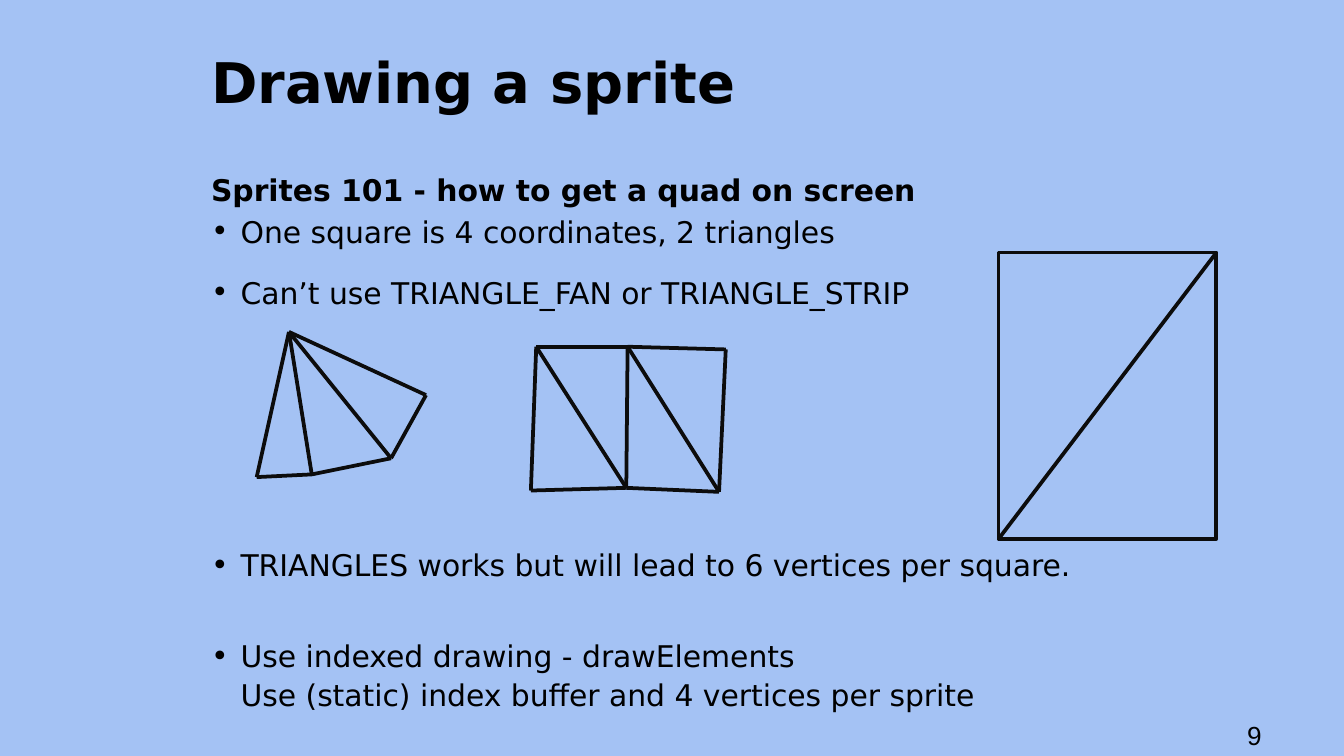
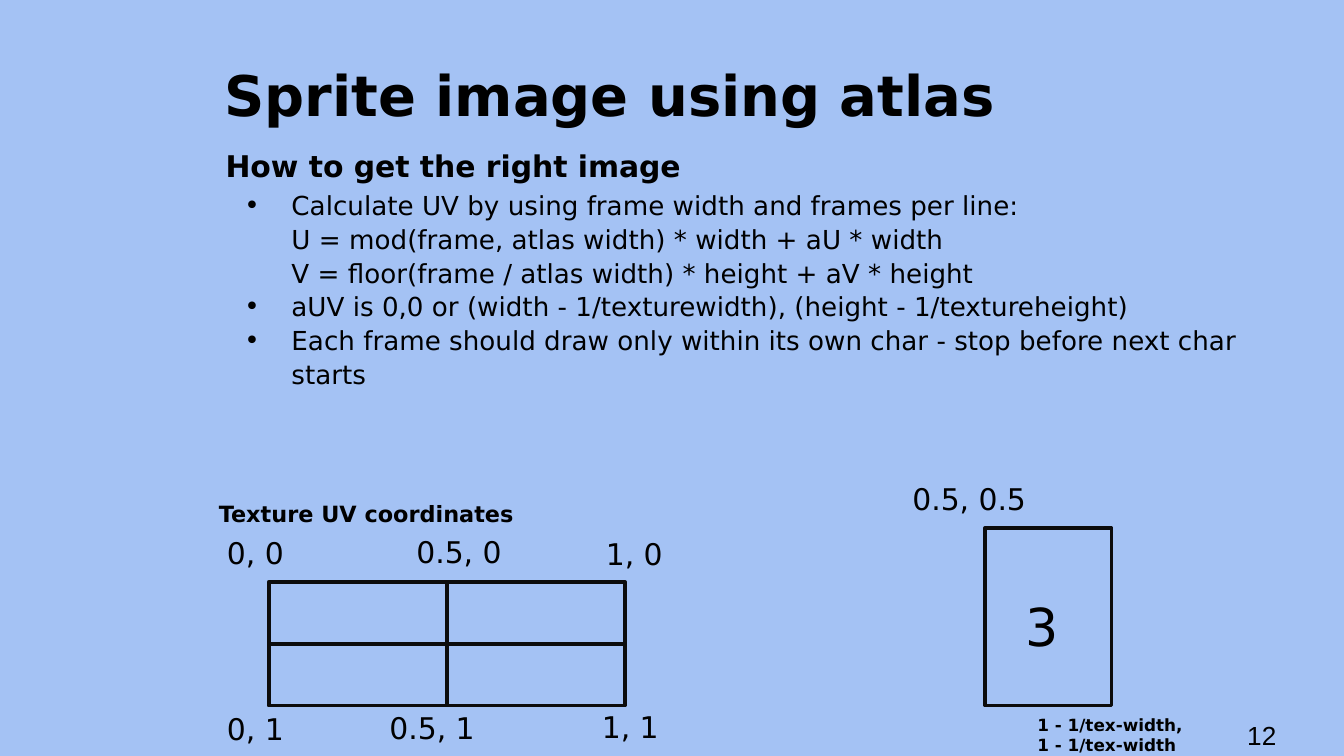
"""Build two slides on drawing sprites: quads from triangles and atlas coordinates."""
from lxml import etree
from pptx import Presentation
from pptx.dml.color import RGBColor
from pptx.enum.shapes import MSO_CONNECTOR, MSO_SHAPE
from pptx.enum.text import MSO_ANCHOR, MSO_AUTO_SIZE, PP_ALIGN
from pptx.oxml.ns import qn
from pptx.util import Inches, Pt

STRAIGHT = MSO_CONNECTOR.STRAIGHT
RECTANGLE, PROCESS = MSO_SHAPE.RECTANGLE, MSO_SHAPE.FLOWCHART_PROCESS
TOP, MIDDLE = MSO_ANCHOR.TOP, MSO_ANCHOR.MIDDLE
LEFT_ALIGN, NO_FIT = PP_ALIGN.LEFT, MSO_AUTO_SIZE.NONE

SKY = RGBColor(0xA4, 0xC2, 0xF4)
BLACK = RGBColor(0, 0, 0)
INK = RGBColor(0x0C, 0x0C, 0x0C)
FONT, NUMBER_FONT = "DejaVu Sans", "Arial"

WIDTH = 10
HEIGHT = WIDTH * 9 / 16
MARGIN, COLUMN = 1.57, 7.92
TITLE_BOX = (MARGIN, 0.45, COLUMN, 0.59)
NUMBER_BOX = (9.28, 5.32, 0.49, 0.3)
FLUSH, PADDED, LABEL_INSET = (0, 0), (0.1, 0.1), (0.1, 0.05)

QUAD_HEADING = "Sprites 101 - how to get a quad on screen"
QUAD_POINTS = [
    "One square is 4 coordinates, 2 triangles",
    "Can’t use TRIANGLE_FAN or TRIANGLE_STRIP",
]
INDEX_POINTS = [
    "TRIANGLES works but will lead to 6 vertices per square.",
    "Use indexed drawing - drawElements\nUse (static) index buffer and 4 vertices per sprite",
]
QUAD = (7.43, 1.88, 1.62, 2.13)
FAN_APEX = (2.15, 2.47)
FAN_RIM = [(1.91, 3.55), (2.32, 3.53), (2.91, 3.41), (3.17, 2.94)]
STRIP = [(3.95, 3.65), (3.99, 2.58), (4.66, 3.63), (4.67, 2.58), (5.35, 3.66), (5.4, 2.6)]

ATLAS_HEADING = "How to get the right image"
ATLAS_POINTS = [
    "Calculate UV by using frame width and frames per line: \n"
    "U = mod(frame, atlas width) * width + aU * width\n"
    "V = floor(frame / atlas width) * height + aV * height",
    "aUV is 0,0 or (width - 1/texturewidth), (height - 1/textureheight)",
    "Each frame should draw only within its own char - stop before next char\nstarts",
]
ATLAS_CAPTION = "Texture UV coordinates"
ATLAS = (2, 4.33, 2.65, 0.92)
ATLAS_LABELS = [
    ("0, 0", 1.59, 3.93, 0.81), ("0.5, 0", 3, 3.92, 1), ("1, 0", 4.41, 3.94, 1.07),
    ("0, 1", 1.59, 5.24, 0.81), ("0.5, 1", 2.8, 5.23, 1), ("1, 1", 4.38, 5.22, 1.07),
]
FRAME = (7.33, 3.93, 0.94, 1.32)
FRAME_LABELS = [
    ("3", (7.53, 4.37, 0.54, 0.57), 28, False),
    ("0.5, 0.5", (6.69, 3.53, 1.29, 0.37), 16, False),
    ("1 - 1/tex-width, \n1 - 1/tex-width", (7.62, 5.27, 1.43, 0.49), 9, True),
]


def inches(lengths):
    return [Inches(length) for length in lengths]


def set_bullet(paragraph, indent, hanging):
    properties = paragraph._p.get_or_add_pPr()
    properties.set("marL", str(Inches(indent)))
    properties.set("indent", str(-Inches(hanging)))
    colour = etree.SubElement(properties, qn("a:buClr"))
    etree.SubElement(colour, qn("a:srgbClr")).set("val", str(BLACK))
    etree.SubElement(properties, qn("a:buFont")).set("typeface", FONT)
    etree.SubElement(properties, qn("a:buChar")).set("char", "•")


def write(box, paragraphs, size, bold=False, font=FONT, inset=LABEL_INSET, anchor=TOP,
          spacing=None, before=(), after=0, bullet=None):
    frame = box.text_frame
    frame.word_wrap = True
    frame.auto_size = NO_FIT
    frame.vertical_anchor = anchor
    frame.margin_left = frame.margin_right = Inches(inset[0])
    frame.margin_top = frame.margin_bottom = Inches(inset[1])
    for index, text in enumerate(paragraphs):
        paragraph = frame.add_paragraph() if index else frame.paragraphs[0]
        paragraph.alignment = LEFT_ALIGN
        paragraph.space_before = Pt(before[index] if before else 0)
        paragraph.space_after = Pt(after)
        if spacing:
            paragraph.line_spacing = spacing
        if bullet:
            set_bullet(paragraph, *bullet)
        for row, line in enumerate(text.split("\n")):
            if row:
                paragraph.add_line_break()
            run = paragraph.add_run()
            run.text = line
            run.font.name, run.font.size = font, Pt(size)
            run.font.bold, run.font.color.rgb = bold, BLACK


def add_text(parent, place, paragraphs, size, **style):
    write(parent.shapes.add_textbox(*inches(place)), paragraphs, size, **style)


def add_outline(group, kind, place):
    outline = group.shapes.add_shape(kind, *inches(place))
    outline.shadow.inherit = False
    outline.fill.background()
    outline.line.color.rgb, outline.line.width = INK, Pt(2)
    return outline


def add_edge(group, start, end):
    edge = group.shapes.add_connector(STRAIGHT, *inches(start + end))
    edge.line.color.rgb, edge.line.width = INK, Pt(2)
    etree.SubElement(edge._element.spPr, qn("a:effectLst"))
    return edge


def add_page(deck, title, number, inset):
    page = deck.slides.add_slide(deck.slide_layouts[5])
    page.background.fill.solid()
    page.background.fill.fore_color.rgb = SKY
    heading = page.shapes.title
    heading.left, heading.top, heading.width, heading.height = inches(TITLE_BOX)
    write(heading, [title], 30, bold=True, inset=inset, spacing=0.8)
    add_text(page, NUMBER_BOX, [number], 14, font=NUMBER_FONT, inset=FLUSH, anchor=MIDDLE)
    return page


def add_quad_page(deck):
    page = add_page(deck, "Drawing a sprite", "9", FLUSH)
    body = {"inset": FLUSH, "spacing": 1.08}
    bullet = (0.22, 0.22)
    add_text(page, (MARGIN, 1.26, COLUMN, 0.24), [QUAD_HEADING], 16, bold=True, after=16, **body)
    add_text(page, (MARGIN, 1.57, COLUMN, 0.79), QUAD_POINTS, 16,
             before=(0, 12), bullet=bullet, **body)
    add_text(page, (MARGIN, 4.05, COLUMN, 1.43), INDEX_POINTS, 16,
             before=(12, 12), after=16, bullet=bullet, **body)

    quad = page.shapes.add_group_shape()
    add_outline(quad, PROCESS, QUAD)
    left, top, width, height = QUAD
    add_edge(quad, (left, top + height), (left + width, top))

    triangles = page.shapes.add_group_shape()
    spokes = [(FAN_APEX, point) for point in FAN_RIM]
    rim = list(zip(FAN_RIM, FAN_RIM[1:]))
    strip = list(zip(STRIP, STRIP[1:])) + list(zip(STRIP, STRIP[2:]))
    for start, end in spokes + rim + strip:
        add_edge(triangles, start, end)


def add_atlas_page(deck):
    page = add_page(deck, "Sprite image using atlas", "12", PADDED)
    body = {"inset": PADDED, "spacing": 1.08}
    add_text(page, (MARGIN + 0.01, 0.98, COLUMN, 0.24), [ATLAS_HEADING], 16,
             bold=True, after=16, **body)
    add_text(page, (MARGIN, 1.29, COLUMN, 2.14), ATLAS_POINTS, 14, bullet=(0.5, 0.35), **body)

    atlas = page.shapes.add_group_shape()
    sheet = add_outline(atlas, RECTANGLE, ATLAS)
    left, top, width, height = ATLAS
    centre, middle = left + width / 2, top + height / 2
    dividers = [
        ((left, middle), (left + width, middle), 1, 3),
        ((centre, top), (centre, top + height), 0, 2),
    ]
    for start, end, first_side, last_side in dividers:
        divider = add_edge(atlas, start, end)
        divider.begin_connect(sheet, first_side)
        divider.end_connect(sheet, last_side)
    for label, x, y, label_width in ATLAS_LABELS:
        add_text(atlas, (x, y, label_width, 0.38), [label], 16)
    add_text(page, (1.53, 3.67, 2.63, 0.26), [ATLAS_CAPTION], 12, bold=True)

    sprite = page.shapes.add_group_shape()
    add_outline(sprite, PROCESS, FRAME)
    for label, place, size, bold in FRAME_LABELS:
        add_text(sprite, place, [label], size, bold=bold)


def main():
    deck = Presentation()
    deck.slide_width, deck.slide_height = Inches(WIDTH), Inches(HEIGHT)
    add_quad_page(deck)
    add_atlas_page(deck)
    deck.save("out.pptx")


if __name__ == "__main__":
    main()
